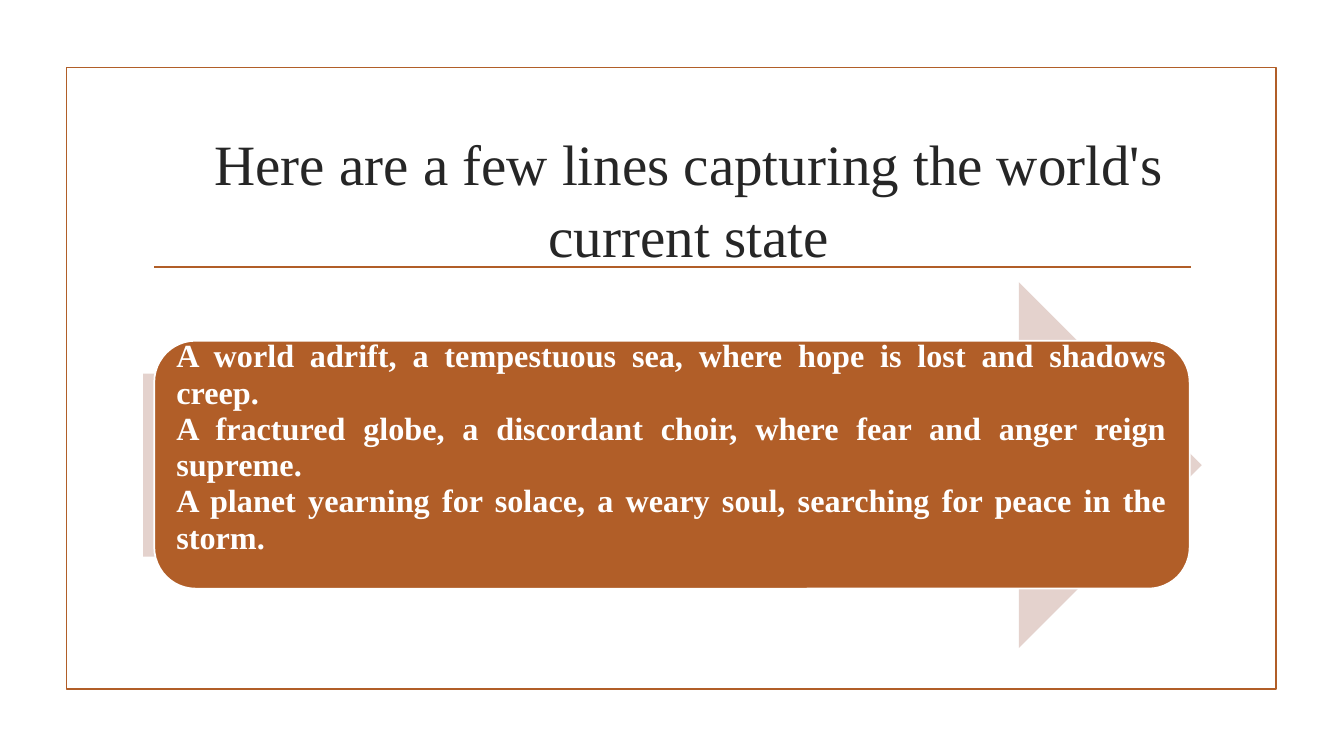
from lxml import etree
from pptx import Presentation
from pptx import util as u
from pptx.dml.color import RGBColor
from pptx.enum import shapes, text
from pptx.oxml.ns import qn

RUST, BLUSH, WHITE, INK = "B15E28", "E4D2CD", "FFFFFF", "262626"
LINES = [
    "A world adrift, a tempestuous sea, where hope is lost and shadows creep.",
    "A fractured globe, a discordant choir, where fear and anger reign supreme.",
    "A planet yearning for solace, a weary soul, searching for peace in the storm.",
]


def rgb(value):
    return RGBColor.from_string(value)


class Deck:
    """Style and current slide; lengths are percentages of the slide's size."""
    font = "Times New Roman"
    line_width = u.Pt(1.25)

    def __init__(self, prs):
        self.prs = prs
        self.s = prs.slides.add_slide(prs.slide_layouts[6])

    def place(self, x, y):
        return int(self.prs.slide_width * x / 100), int(self.prs.slide_height * y / 100)

    def outline(self, line, color):
        line.color.rgb = rgb(color)
        line.width = self.line_width

    def shape(self, kind, x, y, w, h, fill=None, line=None):
        sp = self.s.shapes.add_shape(kind, *self.place(x, y), *self.place(w, h))
        sp.shadow.inherit = False
        if fill:
            sp.fill.solid()
            sp.fill.fore_color.rgb = rgb(fill)
        else:
            sp.fill.background()
        if line:
            self.outline(sp.line, line)
        else:
            sp.line.fill.background()

    def rule(self, x1, x2, y, color):
        cx = self.s.shapes.add_connector(
            shapes.MSO_CONNECTOR.STRAIGHT, *self.place(x1, y), *self.place(x2, y))
        self.outline(cx.line, color)
        etree.SubElement(cx._element.spPr, qn("a:effectLst"))

    def text(self, x, y, w, h, lines, color, frame, para, font):
        tf = self.s.shapes.add_textbox(*self.place(x, y), *self.place(w, h)).text_frame
        frame = {"word_wrap": True, "vertical_anchor": text.MSO_ANCHOR.MIDDLE, **frame}
        p = tf.paragraphs[0]
        for target, values in ((tf, frame), (p, para)):
            for name, value in values.items():
                setattr(target, name, value)
        for i, line in enumerate(lines):
            if i:
                p.add_line_break()
            r = p.add_run()
            r.text = line
            r.font.color.rgb = rgb(color)
            for name, value in {"name": self.font, **font}.items():
                setattr(r.font, name, value)


def main():
    prs = Presentation()
    prs.slide_width, prs.slide_height = u.Inches(13.33), u.Inches(7.5)
    deck = Deck(prs)
    kinds = shapes.MSO_SHAPE

    # Frame and title rule
    deck.shape(kinds.RECTANGLE, 4.95, 8.93, 90, 82.27, line=RUST)
    deck.rule(11.48, 88.6, 35.33, RUST)

    # Arrow behind the rounded panel
    deck.shape(kinds.RIGHT_ARROW, 10.65, 37.33, 78.77, 48.4, fill=BLUSH)
    deck.shape(kinds.ROUNDED_RECTANGLE, 11.48, 45.07, 77.04, 32.8, fill=RUST, line=WHITE)

    # Panel text, lifted by a deeper bottom inset
    inset = u.Inches(0.1)
    deck.text(12.38, 46.67, 75.24, 29.6, LINES, WHITE,
              {"margin_left": inset, "margin_right": inset,
               "margin_top": inset, "margin_bottom": u.Inches(0.44)},
              {"alignment": text.PP_ALIGN.JUSTIFY, "line_spacing": 0.94},
              {"size": u.Pt(23), "bold": True})

    # Title
    deck.text(11.85, 16.53, 78.77, 19.07,
              ["Here are a few lines capturing the world's current state"], INK, {},
              {"alignment": text.PP_ALIGN.CENTER, "line_spacing": 1.05},
              {"size": u.Pt(40.7)})

    prs.save("out.pptx")


if __name__ == "__main__":
    main()
